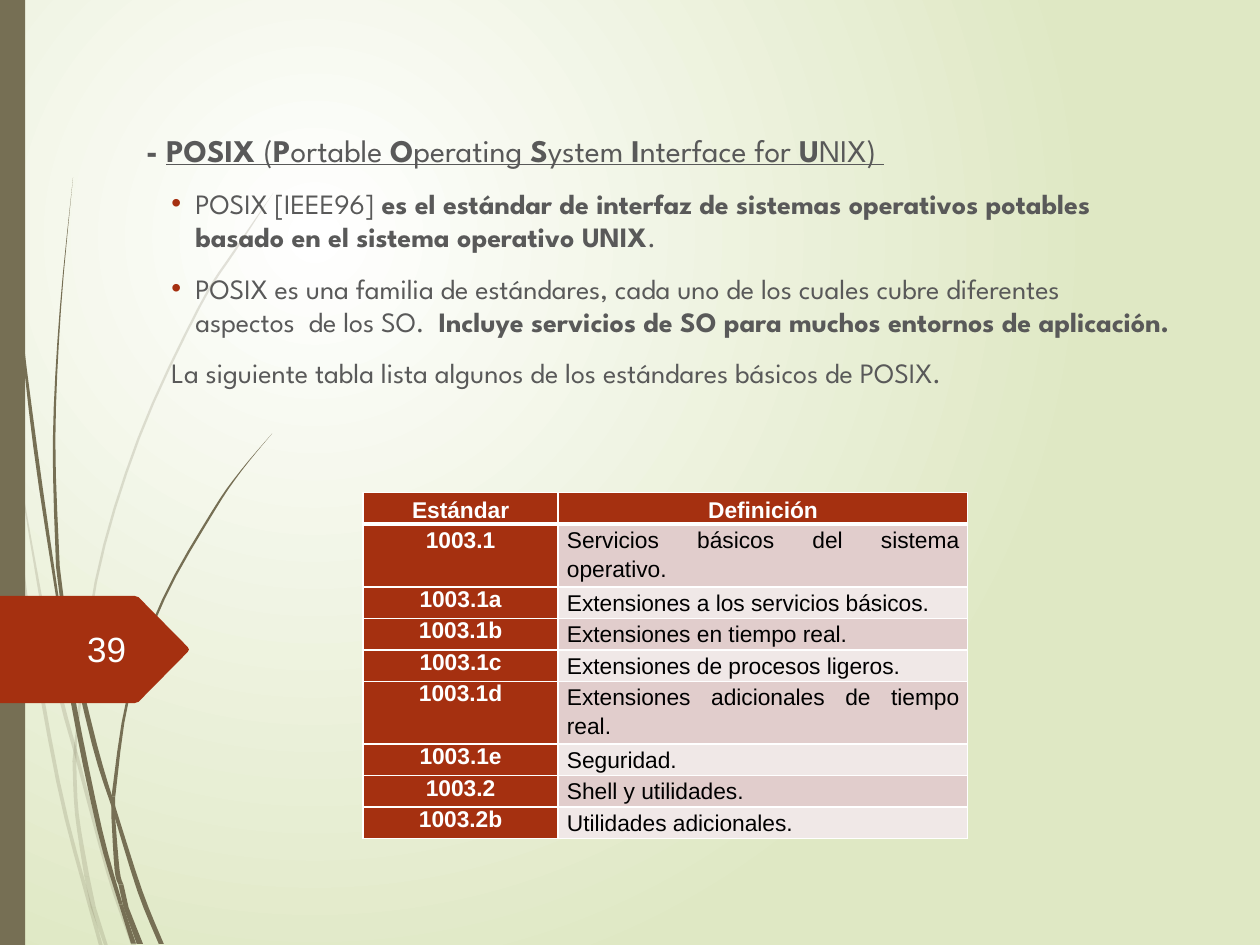
from dataclasses import dataclass

from lxml import etree
from pptx import Presentation
from pptx import util as u
from pptx.dml.color import RGBColor
from pptx.enum import shapes, text
from pptx.oxml import parse_xml
from pptx.oxml.ns import nsdecls, qn


@dataclass(frozen=True)
class Theme:
    olive: str = "766F54"
    rust: str = "A53010"
    white: str = "FFFFFF"
    number: str = "FEFFFF"
    leaf: str = "DFE8C4"
    body: str = "595959"
    black: str = "000000"
    bands: tuple = ("E1CDCC", "F0E8E7")
    display: str = "League Spartan"
    plain: str = "Arial"
    heading_size: int = 18
    body_size: int = 16
    number_size: int = 20
    table_size: int = 13


THEME = Theme()

# A blade is a list of pieces from tip to root. A piece lists (x, y, width) along
# its centre line and starts where the piece before it ends.
PALE_BLADES = [
    [[(0, 2.9, .02), (.04, 3.2, .02), (.08, 3.5, .01)],
     [(.11, 3.72, .02), (.2, 4.7, .03), (.46, 6.2, .03), (.7, 7.14, .03)],
     [(.8, 7.5, .03)]],
    [[(.1, 3.45, 0), (.41, 5.21, .03), (.6, 5.97, .03)],
     [(.63, 6.08, .03), (.86, 6.93, .03), (1.06, 7.5, .04)]],
    [[(2.17, 1.53, 0), (1.87, 1.98, .02), (1.58, 2.44, .02), (1.1, 3.48, .02),
      (.76, 4.62, .02), (.6, 5.9, .02)],
     [(.59, 6.04, .03)],
     [(.61, 6.46, .03), (.69, 6.96, .04)],
     [(.74, 7.2, .04)],
     [(.84, 7.5, .03)]],
]
DARK_BLADES = [
    [[(.02, 0, .01), (.05, 1.1, .01), (.14, 2.33, .01), (.28, 3.55, .03),
      (.46, 4.77, .02)],
     [(.58, 5.56, .04), (.79, 6.58, .04), (.96, 7.18, .03)],
     [(1.06, 7.49, .04)]],
    [[(.58, 1.41, 0), (.48, 2.45, .01), (.43, 3.49, .02), (.46, 4.5, .03)],
     [(.51, 4.9, .03)],
     [(.75, 5.91, .04), (.9, 6.4, .03)],
     [(1.11, 7.07, .04), (1.28, 7.49, .04)]],
    [[(2.16, 3.44, 0), (1.91, 3.74, .01), (1.69, 4.06, .02), (1.3, 4.75, .02),
      (1.02, 5.52, .02), (.9, 6.32, .03)],
     [(.9, 6.5, .03)],
     [(.93, 6.91, .04), (.96, 7.02, .04)],
     [(1, 7.2, .04)],
     [(1.11, 7.49, .05)]],
]
# Words between asterisks are bold.
HEADING = "(*P*ortable *O*perating *S*ystem *I*nterface for *U*NIX) "
BULLETS = [
    "POSIX [IEEE96] *es el estándar de interfaz de sistemas operativos potables "
    "basado en el sistema operativo UNIX*.",
    "POSIX es una familia de estándares, cada uno de los cuales cubre diferentes  "
    "aspectos  de los SO.  *Incluye servicios de SO para muchos entornos de aplicación.*",
]
CLOSING = "La siguiente tabla lista algunos de los estándares básicos de POSIX."
STANDARDS = [
    ("Estándar", "Definición"),
    ("1003.1", "Servicios básicos del sistema operativo."),
    ("1003.1a", "Extensiones a los servicios básicos."),
    ("1003.1b", "Extensiones en tiempo real."),
    ("1003.1c", "Extensiones de procesos ligeros."),
    ("1003.1d", "Extensiones adicionales de tiempo real."),
    ("1003.1e", "Seguridad."),
    ("1003.2", "Shell y utilidades."),
    ("1003.2b", "Utilidades adicionales."),
]


def inches(*lengths):
    return [u.Inches(length) for length in lengths]


def write(para, words, size, color, font, underline=False, align=None, spacing=None):
    """Add words to a paragraph; parts between asterisks are bold."""
    for index, part in enumerate(words.split("*")):
        if part:
            span = para.add_run()
            span.text = part
            span.font.size, span.font.name = u.Pt(size), font
            span.font.bold, span.font.underline = index % 2 == 1, underline
            span.font.color.rgb = RGBColor.from_string(color)
    if align is not None:
        para.alignment = align
    if spacing:
        para.line_spacing = spacing


def paint(shape, color, opacity=100):
    shape.shadow.inherit = False
    shape.line.fill.background()
    shape.fill.solid()
    shape.fill.fore_color.rgb = RGBColor.from_string(color)
    if opacity < 100:
        tone = shape.fill._xPr.find(".//" + qn("a:srgbClr"))
        etree.SubElement(tone, qn("a:alpha"), val=str(opacity * 1000))


def add_outline(page, points, color, opacity=100):
    first, *others = [inches(*point) for point in points]
    builder = page.shapes.build_freeform(*first)
    builder.add_line_segments(others, close=True)
    paint(builder.convert_to_shape(), color, opacity)


def smooth(points, steps=4):
    """Run a Catmull-Rom curve through the points."""
    ends = [points[0], *points, points[-1]]
    curve = []
    for a, b, c, d in zip(ends, ends[1:], ends[2:], ends[3:]):
        for t in (step / steps for step in range(steps)):
            curve.append([
                q + t / 2 * (r - p + t * (2 * p - 5 * q + 4 * r - s
                                          + t * (3 * (q - r) + s - p)))
                for p, q, r, s in zip(a, b, c, d)])
    return curve + [points[-1]]


def add_blade(page, pieces, opacity):
    joint = []
    for piece in pieces:
        curve = smooth(joint + piece)
        left = [(x - width / 2, y) for x, y, width in curve]
        right = [(x + width / 2, y) for x, y, width in reversed(curve)]
        add_outline(page, left + right, THEME.olive, opacity)
        joint = piece[-1:]


def set_background(page):
    page.background.fill.gradient()
    gradient = page.background.fill._xPr.find(qn("a:gradFill"))
    stops = "".join(f'<a:gs pos="{place}"><a:srgbClr val="{color}"/></a:gs>'
                    for place, color in ((0, THEME.white), (100000, THEME.leaf)))
    gradient.getparent().replace(gradient, parse_xml(
        f'<a:gradFill {nsdecls("a")} rotWithShape="1"><a:gsLst>{stops}</a:gsLst>'
        '<a:path path="circle"><a:fillToRect l="50000" t="50000" r="100000" b="100000"/>'
        '</a:path></a:gradFill>'))


def add_decoration(page, height):
    for blades, opacity in ((PALE_BLADES, 20), (DARK_BLADES, 100)):
        for pieces in blades:
            add_blade(page, pieces, opacity)
    bar = page.shapes.add_shape(shapes.MSO_SHAPE.RECTANGLE, *inches(0, 0, .2, height))
    paint(bar, THEME.olive)


def add_page_number(page, left, top, width, height, number):
    """Draw an arrow tag with blunted corners and put the number on it."""
    right, bottom, middle = left + width, top + height, top + height / 2
    upper = [(left, top), (right - .43, top), (right - .4, top + .01),
             (right - .01, middle - .02)]
    lower = [(x, top + bottom - y) for x, y in reversed(upper)]
    add_outline(page, upper + [(right, middle)] + lower, THEME.rust)
    box = page.shapes.add_textbox(*inches(left + .49, top + .22, .64, .4))
    box.text_frame.word_wrap = True
    box.text_frame.vertical_anchor = text.MSO_ANCHOR.MIDDLE
    write(box.text_frame.paragraphs[0], number, THEME.number_size, THEME.number,
          THEME.plain, align=text.PP_ALIGN.RIGHT)


def add_bullet(para):
    properties = para._p.get_or_add_pPr()
    color = etree.SubElement(properties, qn("a:buClr"))
    etree.SubElement(color, qn("a:srgbClr"), val=THEME.rust)
    etree.SubElement(properties, qn("a:buFont"), typeface=THEME.plain)
    etree.SubElement(properties, qn("a:buChar"), char="•")


def fill_body(holder, left, top, width, height):
    holder.left, holder.top, holder.width, holder.height = inches(left, top, width, height)
    frame = holder.text_frame
    frame.word_wrap = True
    frame.vertical_anchor = text.MSO_ANCHOR.TOP
    look = {"color": THEME.body, "font": THEME.display, "align": text.PP_ALIGN.LEFT}
    heading = frame.paragraphs[0]
    heading.space_before = u.Pt(10)
    write(heading, "*- *", THEME.heading_size, **look)
    write(heading, "*POSIX *" + HEADING, THEME.heading_size, underline=True, **look)
    for words in [*BULLETS, CLOSING]:
        para = frame.add_paragraph()
        para.space_before = u.Pt(10)
        write(para, words, THEME.body_size, **look)
        properties = para._p.get_or_add_pPr()
        properties.set("marL", str(u.Inches(.39)))
        properties.set("indent", str(u.Inches(-.19)))
        if words in BULLETS:
            add_bullet(para)


def style_cell(cell, color, bottom):
    properties = cell._tc.get_or_add_tcPr()
    for side, points in (("L", 1), ("R", 1), ("T", 1), ("B", bottom)):
        line = etree.SubElement(properties, qn("a:ln" + side), w=str(u.Pt(points)))
        fill = etree.SubElement(line, qn("a:solidFill"))
        etree.SubElement(fill, qn("a:srgbClr"), val=THEME.white)
    cell.fill.solid()
    cell.fill.fore_color.rgb = RGBColor.from_string(color)
    cell.margin_left = cell.margin_right = u.Inches(.07)
    cell.margin_top = cell.margin_bottom = 0


def add_standards(page, left, top, widths, height):
    """Add the table; its rows have no set height and grow with their text."""
    frame = page.shapes.add_table(len(STANDARDS), len(widths),
                                  *inches(left, top, sum(widths), height))
    table = frame.table
    for column, width in zip(table.columns, widths):
        column.width = u.Inches(width)
    for row, labels in enumerate(STANDARDS):
        table.rows[row].height = 0
        for column, label in enumerate(labels):
            strong = row == 0 or column == 0
            cell = table.cell(row, column)
            style_cell(cell, THEME.rust if strong else THEME.bands[(row - 1) % 2],
                       bottom=3 if row == 0 else 1)
            if row == 0:
                cell.vertical_anchor = text.MSO_ANCHOR.MIDDLE
            write(cell.text_frame.paragraphs[0], f"*{label}*" if strong else label,
                  THEME.table_size, THEME.white if strong else THEME.black, THEME.plain,
                  align=text.PP_ALIGN.CENTER if strong else text.PP_ALIGN.JUSTIFY,
                  spacing=1.15 if row < 2 or column == 1 else None)
    frame.height = u.Inches(height)


def main():
    deck = Presentation()
    deck.slide_width, deck.slide_height = inches(10, 7.5)
    page = deck.slides.add_slide(deck.slide_layouts[0])
    title = page.shapes.title._element
    title.getparent().remove(title)
    set_background(page)
    add_decoration(page, 7.5)
    add_page_number(page, -.03, 4.73, 1.53, .85, "39")
    fill_body(page.placeholders[1], 1.06, .99, 8.35, 6.14)
    add_standards(page, 2.88, 3.91, (1.55, 3.25), 2.74)
    deck.save("out.pptx")


if __name__ == "__main__":
    main()
